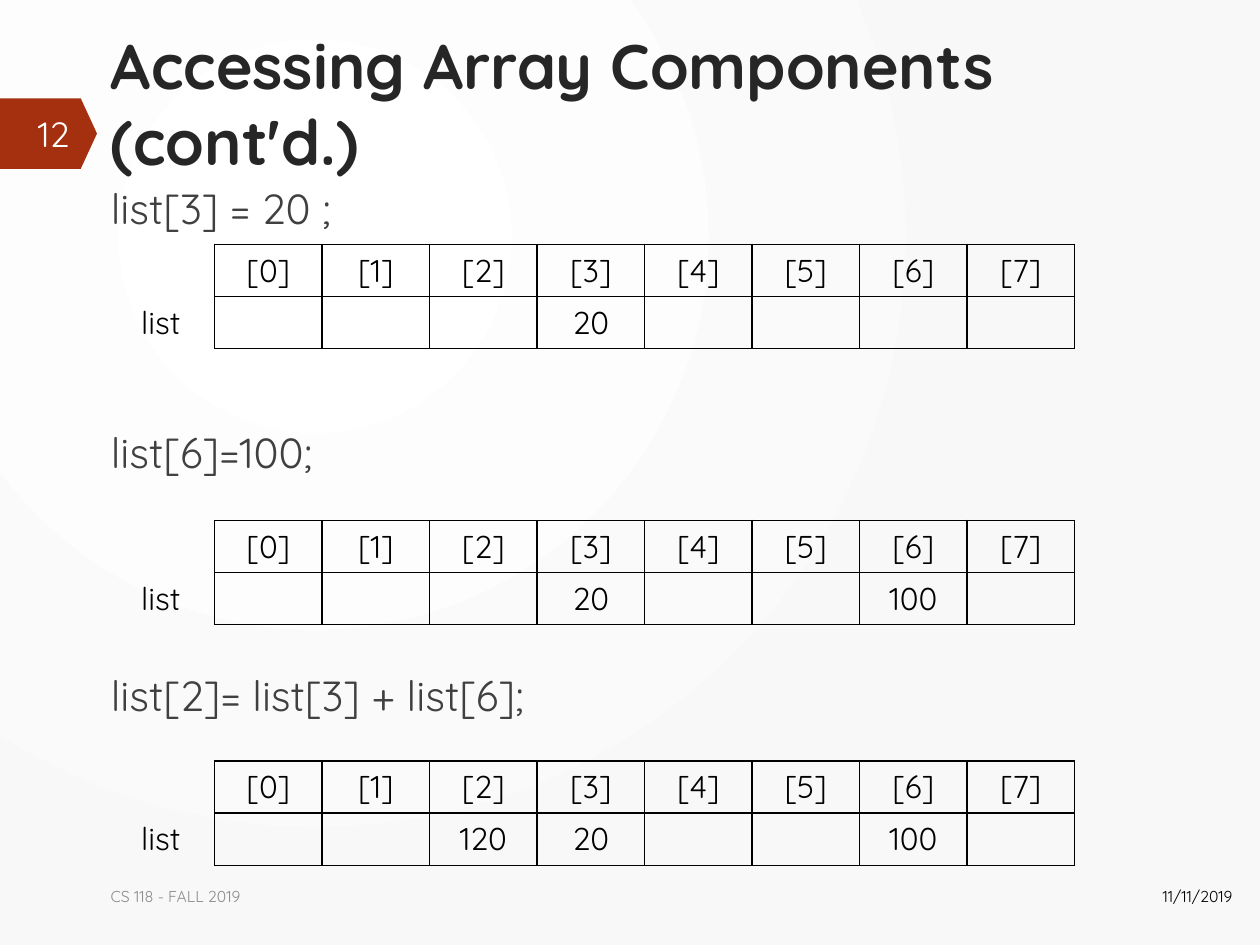
"""Build the slide on accessing array components."""
from dataclasses import dataclass
from typing import NamedTuple

from lxml.etree import SubElement
from pptx import Presentation
from pptx.dml.color import RGBColor
from pptx.enum.shapes import MSO_SHAPE
from pptx.enum.text import MSO_ANCHOR, MSO_AUTO_SIZE, PP_ALIGN
from pptx.oxml.ns import qn
from pptx.slide import Slide
from pptx.table import _Cell
from pptx.text.text import TextFrame
from pptx.util import Inches, Pt

WIDE, HIGH = Inches(10), Inches(7.5)
COLS, ROWS = 9, 2
PLAIN = "{2D5ABB26-0587-4C30-8999-92F81FD0307C}"


@dataclass(frozen=True)
class Theme:
    font: str = "Quicksand"
    ink: str = "000000"
    head: str = "262626"
    body: str = "404040"
    foot: str = "8C8C8C"
    tag: str = "A53010"
    light: str = "FEFFFF"
    glow: tuple = ("FFFFFF", "F8F8F8")
    head_size: float = 36
    body_size: float = 24
    tag_size: float = 20
    cell_size: float = 18
    foot_size: float = 9
    rule: float = 1
    gap: float = 110.4


class Box(NamedTuple):
    """Hold a place as percent of the slide's width and height."""
    left: float
    top: float
    width: float
    height: float

    def spans(self) -> tuple:
        return tuple(round(part * full / 100)
                     for part, full in zip(self, (WIDE, HIGH) * 2))


class Step(NamedTuple):
    code: str
    top: float
    vals: dict


class Note(NamedTuple):
    text: str
    box: Box
    size: float
    color: str
    align: PP_ALIGN


THEME = Theme()
HEAD = Box(7.8, 2.13, 91, 11.87)
BODY = Box(7.8, 18.67, 91, 72.67)
TAG = Box(0, 10.4, 7.7, 7.47)
STEPS = [
    Step("list[3] = 20 ;", 25.87, {3: 20}),
    Step("list[6]=100;", 55.07, {3: 20, 6: 100}),
    Step("list[2]= list[3] + list[6];", 80.53, {2: 120, 3: 20, 6: 100}),
]
NOTES = [
    Note("CS 118 - FALL 2019", Box(7.8, 92.13, 68.1, 5.33),
         THEME.foot_size, THEME.foot, PP_ALIGN.LEFT),
    Note("12", Box(0.1, 11.47, 6.4, 5.33),
         THEME.tag_size, THEME.light, PP_ALIGN.RIGHT),
    Note("11/11/2019", Box(84.1, 92.13, 14.7, 5.33),
         THEME.foot_size, THEME.ink, PP_ALIGN.RIGHT),
]


def write(frame: TextFrame, *lines: str, size: float, color: str,
          bold: bool = False, align: PP_ALIGN = PP_ALIGN.LEFT,
          gap: float = 0) -> None:
    """Write one paragraph for each line."""
    for i, line in enumerate(lines):
        para = frame.add_paragraph() if i else frame.paragraphs[0]
        para.alignment = align
        para.space_before = Pt(gap if i else 0)
        run = para.add_run()
        run.text = line
        font = run.font
        font.name, font.size, font.bold = THEME.font, Pt(size), bold
        font.color.rgb = RGBColor.from_string(color)


def place(shape, box: Box, anchor: MSO_ANCHOR) -> TextFrame:
    """Move a text shape and return its frame."""
    shape.left, shape.top, shape.width, shape.height = box.spans()
    frame = shape.text_frame
    frame.word_wrap = True
    frame.auto_size = MSO_AUTO_SIZE.NONE
    frame.vertical_anchor = anchor
    return frame


def paint(slide: Slide) -> None:
    """Fill the background with a round gradient."""
    fill = slide.background.fill
    fill.gradient()
    for stop, color, pos in zip(fill.gradient_stops, THEME.glow, (0, 1)):
        stop.color.rgb = RGBColor.from_string(color)
        stop.position = pos
    grad = slide.element.find(".//" + qn("a:gradFill"))
    grad.remove(grad.find(qn("a:lin")))
    round_ = SubElement(grad, qn("a:path"), {"path": "circle"})
    SubElement(round_, qn("a:fillToRect"),
               {"l": "50000", "t": "50000", "r": "100000", "b": "100000"})


def edge(cell: _Cell, sides: str) -> None:
    """Rule the given sides of a cell."""
    props = cell._tc.get_or_add_tcPr()
    for side in sides:
        line = SubElement(props, qn("a:ln" + side),
                          {"w": str(Pt(THEME.rule))})
        solid = SubElement(line, qn("a:solidFill"))
        SubElement(solid, qn("a:srgbClr"), {"val": THEME.ink})
    cell.fill.background()


def draw_list(slide: Slide, step: Step) -> None:
    """Draw the index row and the value row of the list."""
    box = Box(8.5, step.top, 76.8, 10.8)
    shape = slide.shapes.add_table(ROWS, COLS, *box.spans())
    table = shape.table
    table.first_row = table.horz_banding = False
    table._tbl.tblPr.find(qn("a:tableStyleId")).text = PLAIN
    index = [""] + [f"[{i}]" for i in range(COLS - 1)]
    value = ["list"] + [str(step.vals.get(i, "")) for i in range(COLS - 1)]
    for r, row in enumerate((index, value)):
        for c, text in enumerate(row):
            cell = table.cell(r, c)
            edge(cell, "LRTB" if c else "R")
            if text:
                write(cell.text_frame, text, size=THEME.cell_size,
                      color=THEME.ink, align=PP_ALIGN.CENTER)


def draw_tag(slide: Slide) -> None:
    """Draw the arrow tag behind the page number."""
    tag = slide.shapes.add_shape(MSO_SHAPE.PENTAGON, *TAG.spans())
    tag.adjustments[0] = 0.23
    tag.shadow.inherit = False
    tag.fill.solid()
    tag.fill.fore_color.rgb = RGBColor.from_string(THEME.tag)
    tag.line.fill.background()


def draw_text(slide: Slide) -> None:
    """Fill the title and the body."""
    title, body = slide.placeholders
    write(place(title, HEAD, MSO_ANCHOR.TOP),
          "Accessing Array Components (cont'd.)",
          size=THEME.head_size, color=THEME.head, bold=True)
    frame = place(body, BODY, MSO_ANCHOR.TOP)
    write(frame, *(step.code for step in STEPS),
          size=THEME.body_size, color=THEME.body, gap=THEME.gap)
    for para in frame.paragraphs:
        props = para._p.get_or_add_pPr()
        props.set("marL", "0")
        props.set("indent", "0")
        SubElement(props, qn("a:buNone"))


def main() -> None:
    """Build and save the slide."""
    deck = Presentation()
    deck.slide_width, deck.slide_height = WIDE, HIGH
    slide = deck.slides.add_slide(deck.slide_layouts[1])
    paint(slide)
    draw_tag(slide)
    draw_text(slide)
    for step in STEPS:
        draw_list(slide, step)
    for note in NOTES:
        shape = slide.shapes.add_textbox(*note.box.spans())
        write(place(shape, note.box, MSO_ANCHOR.MIDDLE), note.text,
              size=note.size, color=note.color, align=note.align)
    deck.save("out.pptx")


if __name__ == "__main__":
    main()
